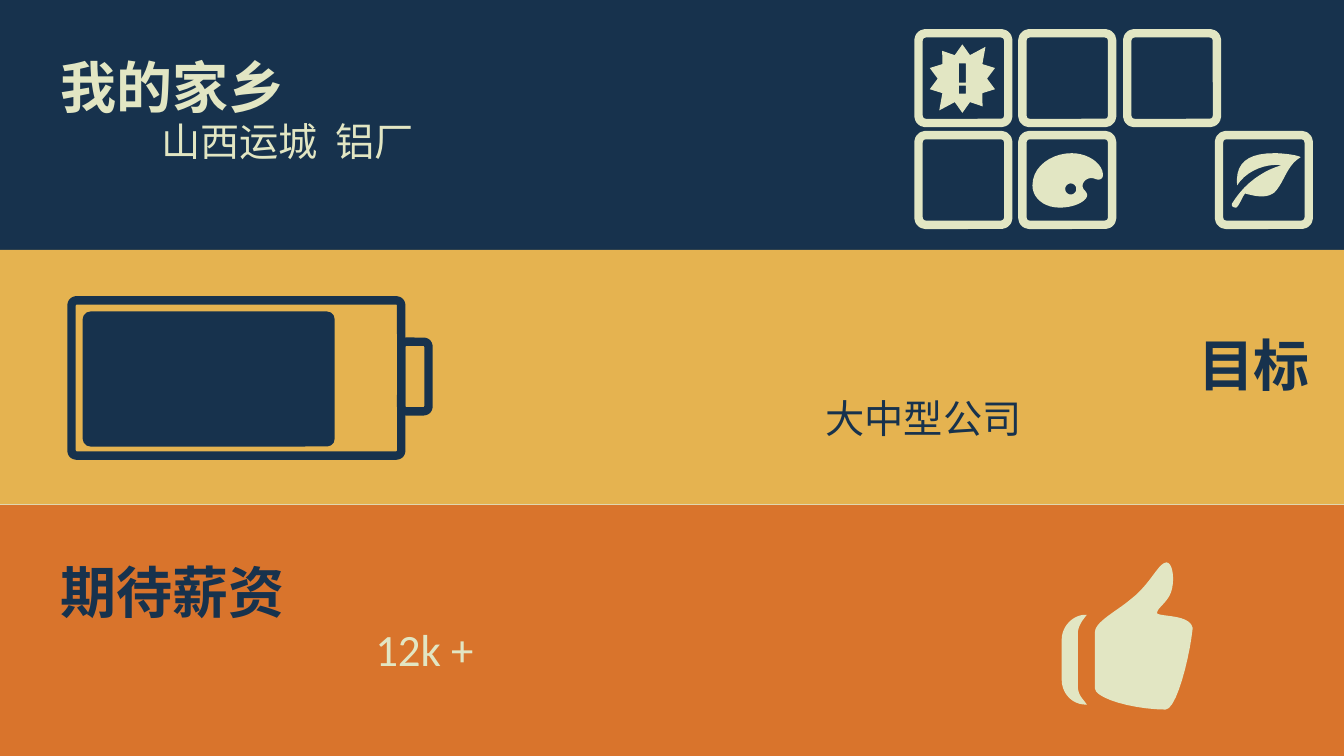
from math import cos, radians, sin

from lxml import etree
from pptx import Presentation
from pptx.dml.color import RGBColor
from pptx.enum.shapes import MSO_SHAPE as Preset
from pptx.enum.text import MSO_AUTO_SIZE as AutoSize, PP_ALIGN as Align
from pptx.oxml.ns import qn
from pptx.util import Inches, Pt

NAVY, ORANGE, YELLOW, CREAM = "17324D", "D9742C", "E5B350", "E2E6C3"
WIDTH, HEIGHT = 13.33, 7.5
FONT = "Calibri"
TAB_STOP = 1

# Bands: top, height, colour
BANDS = [(0, 2.49, NAVY), (5.01, 2.49, ORANGE), (2.48, 2.52, YELLOW)]

# Texts: box, alignment, bold, colour, runs of (text, size)
GOAL_TEXTS = [
    ((7.67, 3.23, 5.42, 0.77), Align.RIGHT, True, NAVY, [("目标", 40)]),
    ((5.24, 3.86, 7.84, 0.6), Align.CENTER, False, NAVY, [("大中型公司", 28)]),
]
HOME_TEXTS = [
    ((0.5, 0.47, 5.42, 0.77), Align.LEFT, True, CREAM, [("我的家乡", 40)]),
    ((0.5, 1.11, 7.42, 0.6), Align.LEFT, False, CREAM,
     [("\t", 20), ("山西运城  铝厂", 28)]),
]
SALARY_TEXTS = [
    ((0.5, 5.48, 5.42, 0.77), Align.LEFT, True, NAVY, [("期待薪资", 40)]),
    ((0.5, 6.12, 7.42, 0.62), Align.CENTER, False, CREAM, [("12k +", 32)]),
]

# Battery case, cap and charge: box, corner ratio, fill, line
BATTERY = [
    ((0.71, 2.98, 3.27, 1.54), 0.03, None, NAVY),
    ((3.98, 3.39, 0.27, 0.69), 0.167, None, NAVY),
    ((0.82, 3.09, 2.5, 1.34), 0.058, NAVY, None),
]

# Icon tiles: lefts of each row
TILE_SIZE, TILE_CORNER = 0.89, 0.077
TILE_ROWS = {0.33: [9.11, 10.14, 11.18], 1.34: [9.11, 10.14, 12.09]}

# Burst: ten tips, two of them longer, around an exclamation mark
BURST_CENTRE = (9.545, 0.78)
BURST_TIPS, LONG_TIPS = 10, (1, 6)
TIP_RADIUS, LONG_RADIUS, NOTCH_RADIUS = 0.34, 0.39, 0.245
MARK_LEFT, MARK_RIGHT = 9.51, 9.58
MARK_PARTS = [(0.63, 0.82), (0.85, 0.93)]

# Curved outlines: a start, then steps. A step of one point is a straight line;
# a step of three is a Bezier curve: two control points and an end.
LEAF = ((12.64, 1.52), [
    [(12.73, 1.52), (12.88, 1.54), (12.9, 1.56)],
    [(12.76, 1.64), (12.74, 1.81), (12.64, 1.91)],
    [(12.56, 1.97), (12.46, 1.95), (12.35, 1.92)],
    [(12.32, 1.95), (12.29, 2.05), (12.26, 2.06)],
    [(12.24, 2.06), (12.21, 2.05), (12.22, 2.02)],
    [(12.34, 1.82), (12.53, 1.69), (12.71, 1.64)],
    [(12.58, 1.62), (12.37, 1.68), (12.27, 1.84)],
    [(12.25, 1.62), (12.37, 1.52), (12.64, 1.52)],
])
PALETTE = ((10.63, 1.52), [
    [(10.78, 1.52), (10.93, 1.61), (10.94, 1.73)],
    [(10.94, 1.79), (10.89, 1.79), (10.85, 1.77)],
    [(10.77, 1.75), (10.71, 1.83), (10.75, 1.88)],
    [(10.79, 1.92), (10.79, 1.94), (10.77, 1.97)],
    [(10.72, 2.03), (10.61, 2.06), (10.51, 2.06)],
    [(10.35, 2.06), (10.24, 1.96), (10.24, 1.84)],
    [(10.24, 1.65), (10.43, 1.52), (10.63, 1.52)],
])
PALETTE_HOLE = ((10.62, 1.875), 0.055)
CUFF = ((10.78, 6.1), [
    [(10.74, 6.15), (10.69, 6.21), (10.69, 6.29)],
    [(10.69, 6.8)],
    [(10.69, 6.9), (10.74, 6.93), (10.78, 6.99)],
    [(10.66, 7), (10.53, 6.9), (10.53, 6.74)],
    [(10.53, 6.35)],
    [(10.53, 6.2), (10.66, 6.09), (10.78, 6.1)],
])
THUMB = ((11.57, 5.58), [
    [(11.64, 5.58), (11.66, 5.8), (11.6, 5.91)],
    [(11.55, 6), (11.46, 6.05), (11.48, 6.09)],
    [(11.55, 6.12), (11.8, 6.1), (11.83, 6.23)],
    [(11.8, 6.52), (11.67, 7.04), (11.56, 7.04)],
    [(11.25, 7.04), (10.86, 6.93), (10.86, 6.83)],
    [(10.86, 6.27)],
    [(10.86, 6.17), (11.08, 6.06), (11.21, 5.95)],
    [(11.41, 5.8), (11.49, 5.58), (11.57, 5.58)],
])


# Outline geometry
def polar(centre, radius, degrees):
    """Point at a clockwise angle from straight up."""
    angle = radians(degrees)
    return centre[0] + radius * sin(angle), centre[1] - radius * cos(angle)


def circle(centre, radius, count=24):
    return [polar(centre, radius, 360 * i / count) for i in range(count)]


def burst():
    step = 360 / BURST_TIPS
    points = []
    for tip in range(BURST_TIPS):
        radius = LONG_RADIUS if tip in LONG_TIPS else TIP_RADIUS
        points.append(polar(BURST_CENTRE, radius, tip * step))
        points.append(polar(BURST_CENTRE, NOTCH_RADIUS, (tip + 0.5) * step))
    return points


def bar(top, bottom):
    return [(MARK_LEFT, top), (MARK_RIGHT, top), (MARK_RIGHT, bottom), (MARK_LEFT, bottom)]


def bezier(p0, p1, p2, p3, t):
    u = 1 - t
    return tuple(u**3 * a + 3 * u * u * t * b + 3 * u * t * t * c + t**3 * d
                 for a, b, c, d in zip(p0, p1, p2, p3))


def trace(outline, samples=10):
    start, steps = outline
    points = [start]
    for step in steps:
        if len(step) == 1:
            points += step
        else:
            origin = points[-1]
            points += [bezier(origin, *step, i / samples) for i in range(1, samples + 1)]
    return points


# Drawing
def paint(fill, colour):
    fill.solid()
    fill.fore_color.rgb = RGBColor.from_string(colour)


def style(shape, fill, line=None):
    shape.shadow.inherit = False
    if fill:
        paint(shape.fill, fill)
    else:
        shape.fill.background()
    if line:
        paint(shape.line.fill, line)
        shape.line.width = Pt(6)
    else:
        shape.line.fill.background()


def add_block(shapes, box, fill, line=None, corner=None):
    preset = Preset.RECTANGLE if corner is None else Preset.ROUNDED_RECTANGLE
    block = shapes.add_shape(preset, *map(Inches, box))
    if corner is not None:
        block.adjustments[0] = corner
    style(block, fill, line)


def add_texts(shapes, texts):
    for box, align, bold, colour, runs in texts:
        frame = shapes.add_textbox(*map(Inches, box)).text_frame
        frame.word_wrap = True
        frame.auto_size = AutoSize.SHAPE_TO_FIT_TEXT
        paragraph = frame.paragraphs[0]
        paragraph.alignment = align
        if runs[0][0] == "\t":
            tabs = etree.SubElement(paragraph._p.get_or_add_pPr(), qn("a:tabLst"))
            etree.SubElement(tabs, qn("a:tab"), pos=str(Inches(TAB_STOP)), algn="l")
        for words, size in runs:
            run = paragraph.add_run()
            run.text = words
            run.font.name, run.font.size, run.font.bold = FONT, Pt(size), bold
            paint(run.font.fill, colour)


def add_icon(shapes, *outlines):
    first, *others = [[(Inches(x), Inches(y)) for x, y in points] for points in outlines]
    builder = shapes.build_freeform(*first[0])
    builder.add_line_segments(first[1:], close=True)
    for points in others:
        builder.move_to(*points[0])
        builder.add_line_segments(points[1:], close=True)
    style(builder.convert_to_shape(), CREAM)


deck = Presentation()
deck.slide_width, deck.slide_height = Inches(WIDTH), Inches(HEIGHT)
slide = deck.slides.add_slide(deck.slide_layouts[6])
paint(slide.background.fill, CREAM)

# Bands
for top, height, colour in BANDS:
    add_block(slide.shapes, (0, top, WIDTH, height), colour)

# Goal with battery
goal = slide.shapes.add_group_shape().shapes
add_texts(goal, GOAL_TEXTS)
for box, corner, fill, line in BATTERY:
    add_block(goal, box, fill, line, corner)

# Home town with icon tiles
home = slide.shapes.add_group_shape().shapes
add_texts(home, HOME_TEXTS)
for top, lefts in TILE_ROWS.items():
    for left in lefts:
        add_block(home, (left, top, TILE_SIZE, TILE_SIZE), None, CREAM, TILE_CORNER)
add_icon(home, trace(LEAF))
add_icon(home, burst(), *[bar(*part) for part in MARK_PARTS])
add_icon(home, trace(PALETTE), circle(*PALETTE_HOLE))

# Expected salary with thumb
salary = slide.shapes.add_group_shape().shapes
add_texts(salary, SALARY_TEXTS)
add_icon(salary, trace(CUFF), trace(THUMB))

deck.save("out.pptx")
